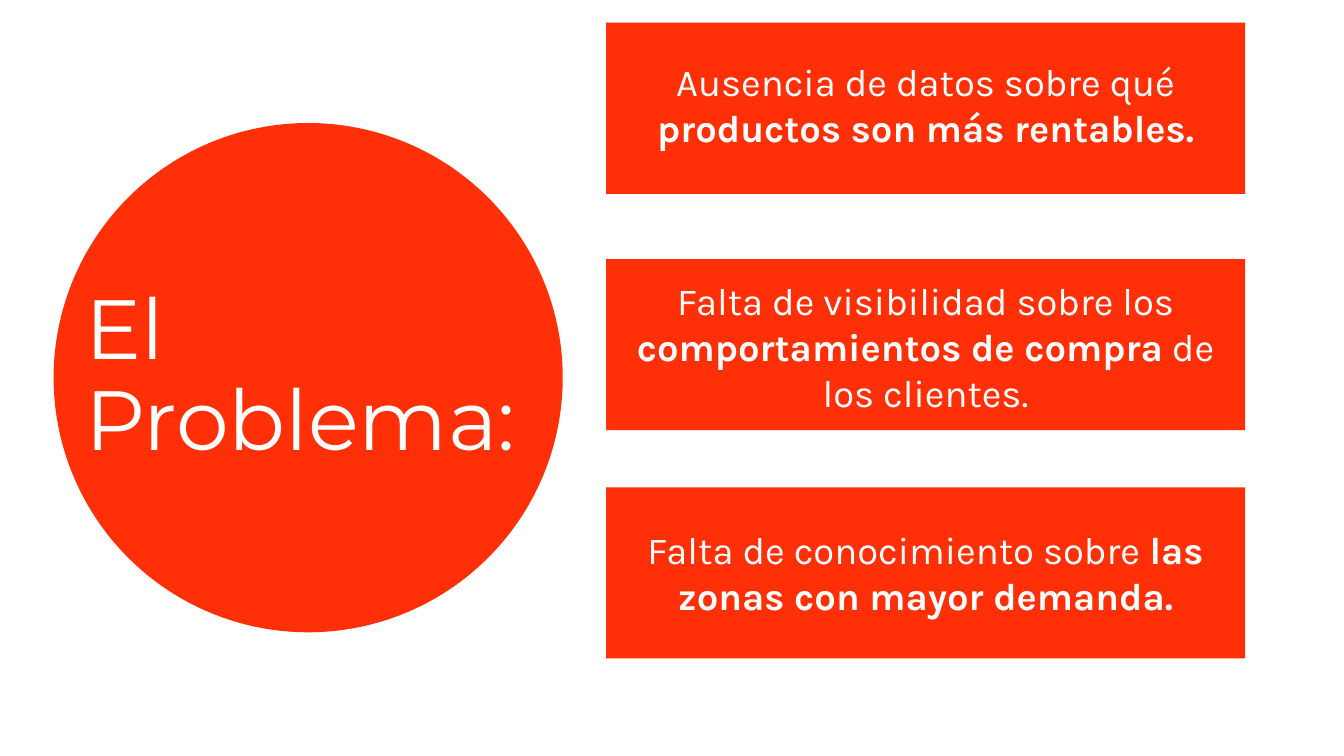
from pptx import Presentation
from pptx.dml.color import RGBColor
from pptx.enum.shapes import MSO_SHAPE
from pptx.enum.text import MSO_ANCHOR, MSO_AUTO_SIZE, PP_ALIGN
from pptx.util import Inches, Pt

RED = RGBColor(0xFF, 0x30, 0x08)
WHITE = RGBColor(0xFF, 0xFF, 0xFF)
RECT, OVAL = MSO_SHAPE.RECTANGLE, MSO_SHAPE.OVAL
LEFT, CENTER = PP_ALIGN.LEFT, PP_ALIGN.CENTER
MIDDLE = MSO_ANCHOR.MIDDLE
NO_FIT, GROW = MSO_AUTO_SIZE.NONE, MSO_AUTO_SIZE.SHAPE_TO_FIT_TEXT

CARD_X, CARD_W, CARD_H = 8.82, 9.3, 2.49

# Card top, text top, text height, (text, bold) runs
CARDS = [
    (0.33, 0.8, 1.45, [("Ausencia de datos sobre qué ", False),
                       ("productos son más rentables.", True)]),
    (3.77, 3.99, 2.12, [("Falta de visibilidad sobre los ", False),
                        ("comportamientos de compra", True),
                        (" de los clientes.", False)]),
    (7.09, 7.61, 1.45, [("Falta de conocimiento sobre", False),
                        (" las zonas con mayor demanda.", True)]),
]


class Deck:
    def __init__(self, s):
        self.s = s

    def font(self, p, name, size):
        p.font.name, p.font.size = name, Pt(size)
        p.font.color.rgb = WHITE

    def shape(self, kind, x, y, w, h):
        sp = self.s.shapes.add_shape(kind, Inches(x), Inches(y), Inches(w), Inches(h))
        sp.shadow.inherit = False
        sp.fill.solid()
        sp.fill.fore_color.rgb = RED
        sp.line.fill.background()

    def text(self, x, y, w, h, runs):
        sp = self.s.shapes.add_textbox(Inches(x), Inches(y), Inches(w), Inches(h))
        tf = sp.text_frame
        tf.word_wrap, tf.auto_size = True, GROW
        p = tf.paragraphs[0]
        p.alignment = CENTER
        self.font(p, "Karla", 40)
        for text, bold in runs:
            r = p.add_run()
            r.text, r.font.bold = text, bold

    def title(self, x, y, w, h, text):
        sp = self.s.shapes.title
        sp.left, sp.top, sp.width, sp.height = (Inches(v) for v in (x, y, w, h))
        tf = sp.text_frame
        tf.text = text
        tf.word_wrap, tf.auto_size, tf.vertical_anchor = True, NO_FIT, MIDDLE
        p = tf.paragraphs[0]
        p.alignment, p.line_spacing = LEFT, 0.9
        self.font(p, "Montserrat", 88)
        # Bring the title in front of the circle
        self.s.shapes._spTree.append(sp._element)


def main():
    prs = Presentation()
    prs.slide_width, prs.slide_height = Inches(19.56), Inches(11)
    deck = Deck(prs.slides.add_slide(prs.slide_layouts[5]))
    for card_y, text_y, text_h, runs in CARDS:
        deck.shape(RECT, CARD_X, card_y, CARD_W, CARD_H)
        deck.text(CARD_X, text_y, CARD_W, text_h, runs)
    deck.shape(OVAL, 0.78, 1.79, 7.41, 7.41)
    deck.title(1.14, 4.09, 7.05, 2.81, "El Problema:")
    prs.save("out.pptx")


if __name__ == "__main__":
    main()
